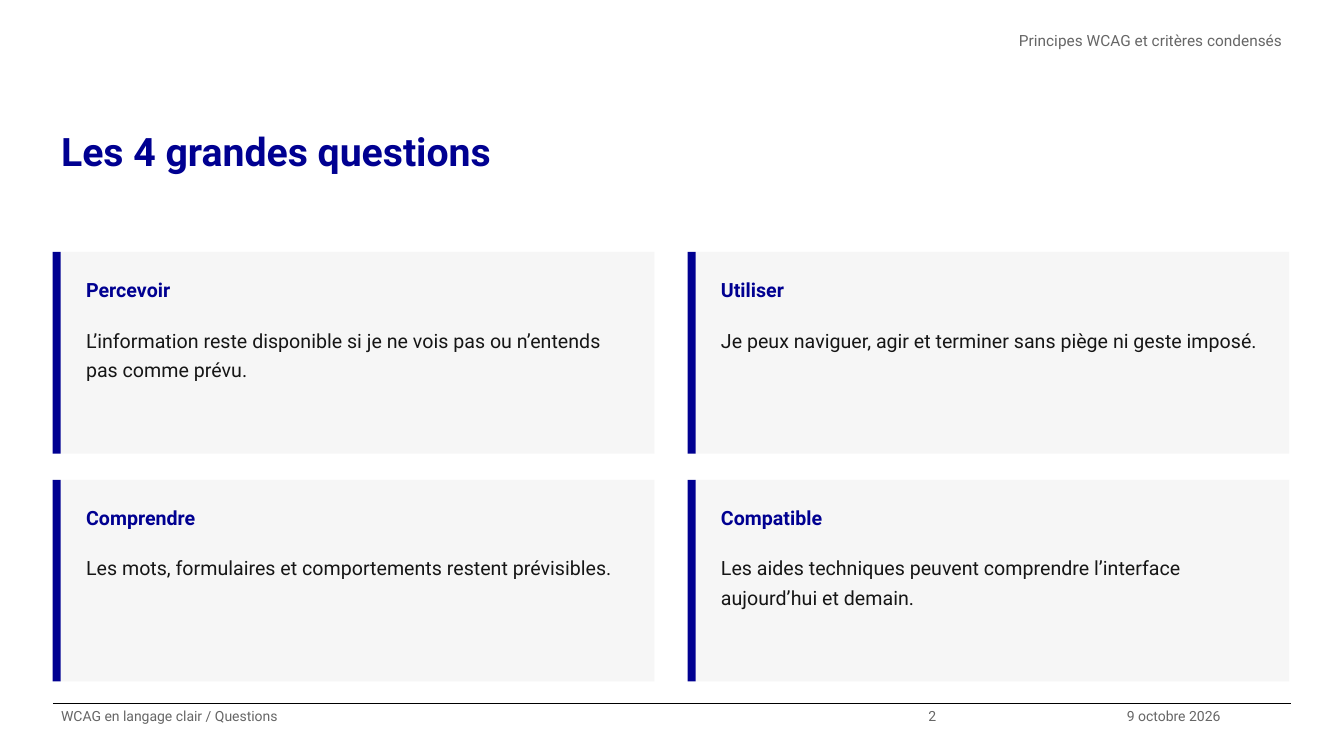
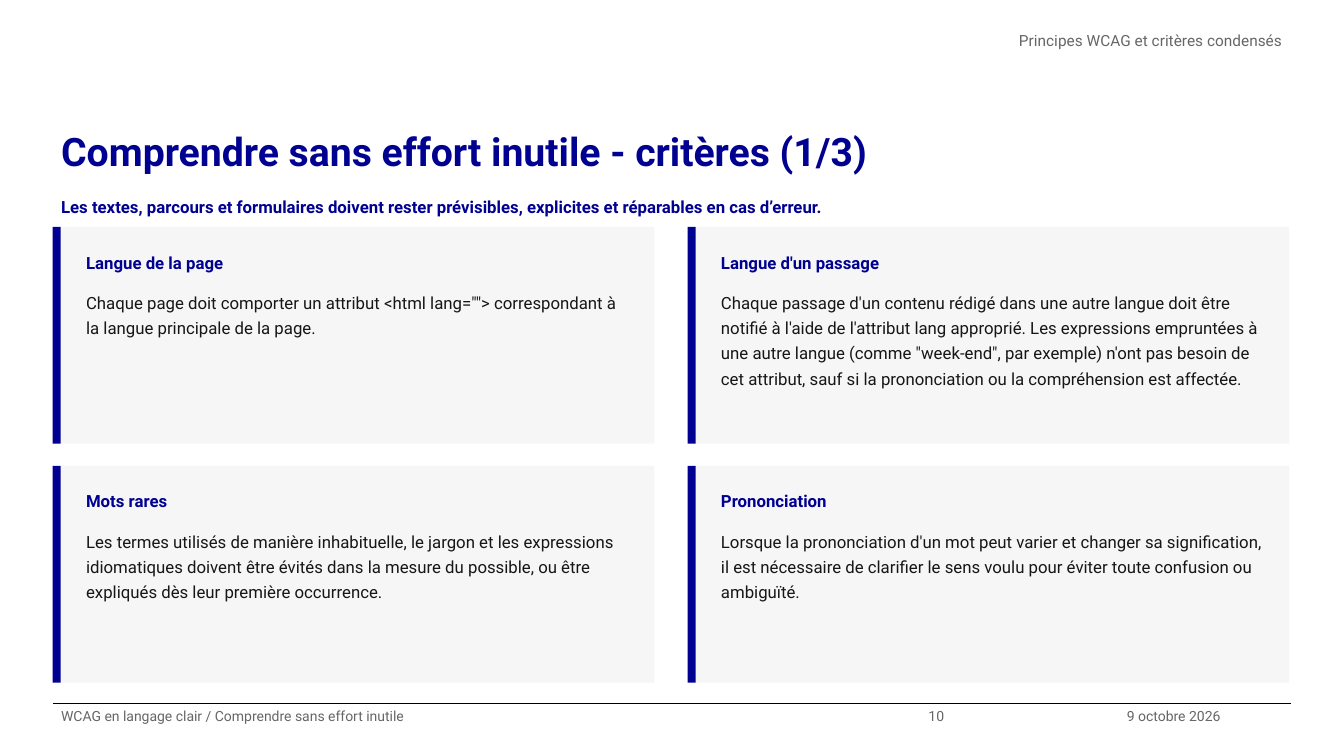
"""Builds two slides of WCAG principles, each with a grid of four cards."""
from lxml import etree
from pptx import Presentation
from pptx.dml.color import RGBColor
from pptx.enum.shapes import MSO_CONNECTOR, MSO_SHAPE
from pptx.enum.text import MSO_ANCHOR, MSO_AUTO_SIZE, PP_ALIGN
from pptx.oxml.ns import qn
from pptx.util import Cm, Pt

LEFT, RIGHT = PP_ALIGN.LEFT, PP_ALIGN.RIGHT
TOP = MSO_ANCHOR.TOP
NO_FIT = MSO_AUTO_SIZE.NONE
RECTANGLE = MSO_SHAPE.RECTANGLE
STRAIGHT = MSO_CONNECTOR.STRAIGHT

FONT = "Roboto"
BLUE, INK, GREY, PALE, BLACK = "000091", "161616", "666666", "F6F6F6", "000000"

MARGIN, CONTENT_WIDTH = 1.33, 31.2
FOOTER_TOP, FOOTER_HEIGHT = 17.73, 1.32
ACCENT_WIDTH, CARD_WIDTH, COLUMN_STEP = 0.2, 14.96, 16.0
TEXT_INDENT, TEXT_WIDTH = 0.63, 14.15
HEADING_OFFSET = 0.38

HEADER = "Principes WCAG et critères condensés"
DATE = "9 octobre 2026"

SLIDES = [
    {
        "title": "Les 4 grandes questions",
        "lead": "",
        "section": "Questions",
        "number": "2",
        "size": 14,
        "grid_top": 6.35,
        "card_height": 5.08,
        "row_gap": 0.66,
        "heading_height": 1.14,
        "body_offset": 1.65,
        "body_height": 3.18,
        "cards": [
            ("Percevoir", "L’information reste disponible si je ne vois pas ou n’entends pas comme prévu."),
            ("Utiliser", "Je peux naviguer, agir et terminer sans piège ni geste imposé."),
            ("Comprendre", "Les mots, formulaires et comportements restent prévisibles."),
            ("Compatible", "Les aides techniques peuvent comprendre l’interface aujourd’hui et demain."),
        ],
    },
    {
        "title": "Comprendre sans effort inutile - critères (1/3)",
        "lead": "Les textes, parcours et formulaires doivent rester prévisibles, "
                "explicites et réparables en cas d’erreur.",
        "section": "Comprendre sans effort inutile",
        "number": "10",
        "size": 12,
        "grid_top": 5.72,
        "card_height": 5.46,
        "row_gap": 0.56,
        "heading_height": 0.89,
        "body_offset": 1.4,
        "body_height": 3.81,
        "cards": [
            ("Langue de la page",
             'Chaque page doit comporter un attribut <html lang=""> correspondant à '
             "la langue principale de la page."),
            ("Langue d'un passage",
             "Chaque passage d'un contenu rédigé dans une autre langue doit être notifié à l'aide "
             "de l'attribut lang approprié. Les expressions empruntées à une autre langue (comme "
             '"week-end", par exemple) n\'ont pas besoin de cet attribut, sauf si la prononciation '
             "ou la compréhension est affectée."),
            ("Mots rares",
             "Les termes utilisés de manière inhabituelle, le jargon et les expressions idiomatiques "
             "doivent être évités dans la mesure du possible, ou être expliqués dès leur première "
             "occurrence."),
            ("Prononciation",
             "Lorsque la prononciation d'un mot peut varier et changer sa signification, il est "
             "nécessaire de clarifier le sens voulu pour éviter toute confusion ou ambiguïté."),
        ],
    },
]


def color(value):
    return RGBColor.from_string(value)


def write(page, text, left, top, width, height, *, box=None, size=10, ink=GREY,
          bold=False, align=LEFT, inset=0):
    if box is None:
        box = page.shapes.add_textbox(0, 0, 0, 0)
    box.left, box.top, box.width, box.height = Cm(left), Cm(top), Cm(width), Cm(height)
    frame = box.text_frame
    frame.word_wrap = True
    frame.auto_size = NO_FIT
    frame.vertical_anchor = TOP
    frame.margin_left = frame.margin_right = Cm(0.21)
    frame.margin_top = frame.margin_bottom = Cm(inset)
    para = frame.paragraphs[0]
    para.alignment = align
    para.line_spacing = 1.25
    para.space_before = Pt(0)
    span = para.add_run()
    span.text = text
    span.font.name = FONT
    span.font.size = Pt(size)
    span.font.bold = bold
    span.font.color.rgb = color(ink)


deck = Presentation()
deck.slide_width, deck.slide_height = Cm(33.87), Cm(19.05)
title_only = deck.slide_layouts[5]

for content in SLIDES:
    page = deck.slides.add_slide(title_only)
    write(page, content["title"], MARGIN, 2.92, CONTENT_WIDTH, 2.67,
          box=page.shapes.title, size=28, ink=BLUE, bold=True)
    write(page, HEADER, 12.27, 0.66, 20.26, 1.32, size=11, align=RIGHT)

    rule = page.shapes.add_connector(STRAIGHT, Cm(MARGIN), Cm(FOOTER_TOP),
                                     Cm(MARGIN + CONTENT_WIDTH), Cm(FOOTER_TOP))
    rule.line.color.rgb = color(BLACK)
    rule.line.width = Pt(0.8)
    etree.SubElement(rule._element.spPr, qn("a:effectLst"))

    footers = [
        ("WCAG en langage clair / " + content["section"], MARGIN, 21.87),
        (content["number"], 23.19, 5.0),
        (DATE, 28.19, 4.34),
    ]
    for text, left, width in footers:
        write(page, text, left, FOOTER_TOP, width, FOOTER_HEIGHT)

    if content["lead"]:
        write(page, content["lead"], MARGIN, 4.7, CONTENT_WIDTH, 0.71,
              size=content["size"], ink=BLUE, bold=True, inset=0.13)

    for index, (heading, body) in enumerate(content["cards"]):
        row, column = divmod(index, 2)
        left = MARGIN + column * COLUMN_STEP
        top = content["grid_top"] + row * (content["card_height"] + content["row_gap"])
        panels = [
            (left + ACCENT_WIDTH, CARD_WIDTH, PALE),
            (left, ACCENT_WIDTH, BLUE),
        ]
        for panel_left, panel_width, fill in panels:
            panel = page.shapes.add_shape(RECTANGLE, Cm(panel_left), Cm(top),
                                          Cm(panel_width), Cm(content["card_height"]))
            panel.shadow.inherit = False
            panel.fill.solid()
            panel.fill.fore_color.rgb = color(fill)
            panel.line.fill.background()
        write(page, heading, left + TEXT_INDENT, top + HEADING_OFFSET, TEXT_WIDTH,
              content["heading_height"], size=content["size"], ink=BLUE, bold=True, inset=0.13)
        write(page, body, left + TEXT_INDENT, top + content["body_offset"], TEXT_WIDTH,
              content["body_height"], size=content["size"], ink=INK, inset=0.13)

deck.save("out.pptx")
